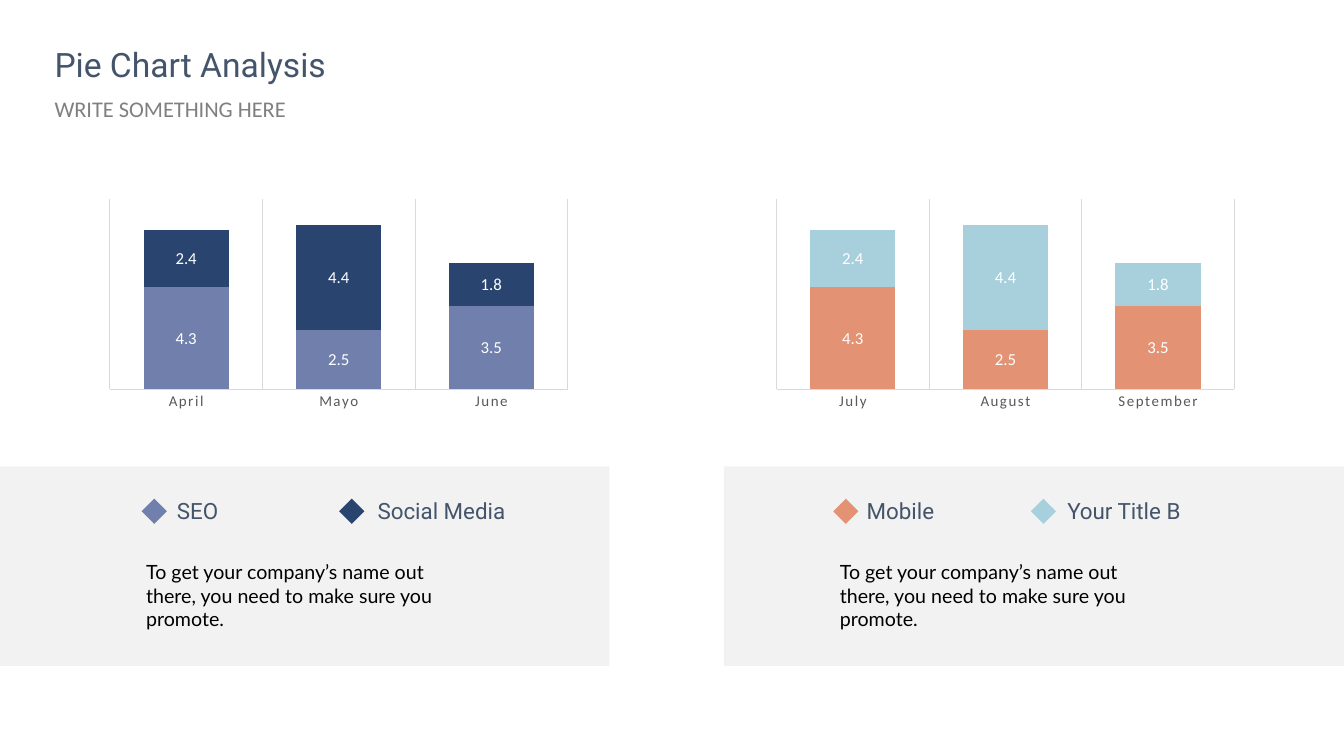
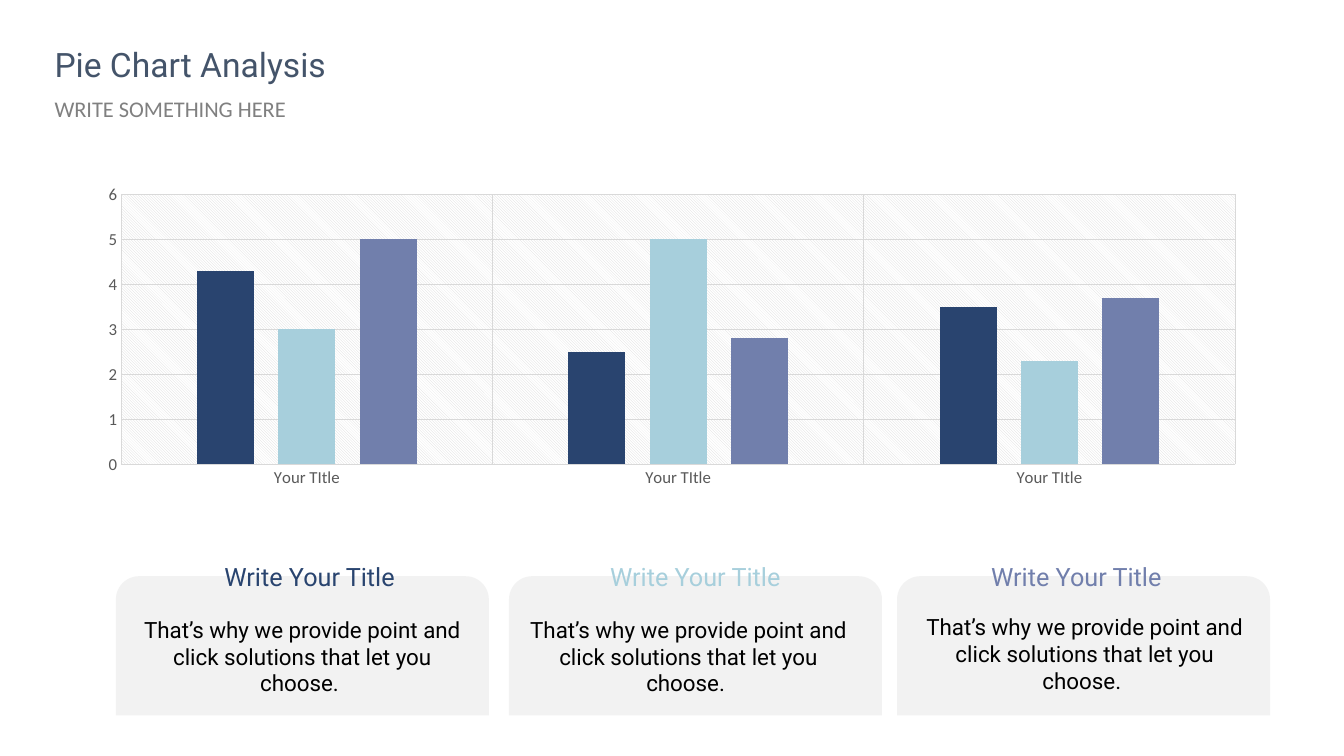
"""Build two chart analysis slides: stacked months and clustered groups."""
from lxml.etree import SubElement
from pptx import Presentation
from pptx.chart.data import CategoryChartData
from pptx.dml.color import RGBColor
from pptx.enum.chart import XL_CHART_TYPE, XL_LABEL_POSITION, XL_TICK_MARK
from pptx.enum.shapes import MSO_SHAPE
from pptx.enum.text import PP_ALIGN
from pptx.oxml.ns import qn
from pptx.util import Pt

HEX = {
    "heading": "44546A", "subtitle": "808080", "body": "000000",
    "panel": "F2F2F2", "grid": "D9D9D9", "axis": "595959", "white": "FFFFFF",
    "navy": "29446F", "violet": "717FAC", "orange": "E39274", "sky": "A7CFDC",
}
COLORS = {name: RGBColor.from_string(value) for name, value in HEX.items()}


def add_text(slide, box, words, color, font, size, align=PP_ALIGN.LEFT):
    frame = slide.shapes.add_textbox(*map(Pt, box)).text_frame
    frame.word_wrap = True
    paragraph = frame.paragraphs[0]
    paragraph.alignment = align
    run = paragraph.add_run()
    run.text = words
    for name, value in {"name": font, "size": Pt(size)}.items():
        setattr(run.font, name, value)
    run.font.color.rgb = COLORS[color]


def add_block(slide, kind, box, color):
    block = slide.shapes.add_shape(kind, *map(Pt, box))
    block.shadow.inherit = False
    block.fill.solid()
    block.fill.fore_color.rgb = COLORS[color]
    block.line.fill.background()


deck = Presentation()
deck.slide_width, deck.slide_height = Pt(960), Pt(540)
months, groups = [deck.slides.add_slide(deck.slide_layouts[6]) for _ in range(2)]

for slide in (months, groups):
    add_text(slide, (31.9, 28, 233, 36), "Pie Chart Analysis", "heading", "Roboto", 24)
    add_text(slide, (31.9, 64.4, 210, 26.6), "WRITE SOMETHING HERE", "subtitle", "Calibri", 16)

channels = [
    (0, 435.3, 97.3, 101.2, 119.3, [("SEO", "violet"), ("Social Media", "navy")]),
    (517, 443, 592.8, 595.2, 612, [("Mobile", "orange"), ("Your Title B", "sky")]),
]
for panel_left, panel_width, pitch_left, marker_left, label_left, legend in channels:
    add_block(months, MSO_SHAPE.RECTANGLE, (panel_left, 333.1, panel_width, 142.6), "panel")
    add_text(months, (pitch_left, 396.4, 240.5, 58.3),
             "To get your company’s name out there, you need to make sure you promote.",
             "body", "Lato", 14)
    for column, (channel, color) in enumerate(legend):
        add_block(months, MSO_SHAPE.DIAMOND, (marker_left + 141.1 * column, 356.2, 18, 18), color)
        add_text(months, (label_left + 143.3 * column, 351.7, 111, 26.6),
                 channel, "heading", "Roboto", 16)

cards = [
    (82.8, 91.4, 436.3, 142.6, "navy"),
    (363.6, 367.2, 436.3, 418.1, "sky"),
    (640.8, 650.2, 434.5, 690.3, "violet"),
]
for card_left, pitch_left, pitch_top, title_left, color in cards:
    add_block(groups, MSO_SHAPE.ROUND_2_SAME_RECTANGLE, (card_left, 411.6, 266.4, 99.4), "panel")
    add_text(groups, (pitch_left, pitch_top, 249.1, 65.5),
             "That’s why we provide point and click solutions that let you choose. ",
             "body", "Roboto", 16, PP_ALIGN.CENTER)
    add_text(groups, (title_left, 397.1, 157, 28.8), "Write Your Title",
             color, "Roboto", 18, PP_ALIGN.CENTER)

monthly = [(4.3, 2.5, 3.5), (2.4, 4.4, 1.8)]
grouped = [(4.3, 2.5, 3.5), (3, 5, 2.3), (5, 2.8, 3.7)]
charts = [
    (months, (71.7, 139.2, 340.6, 157.7), ["April", "Mayo", "June"], monthly, ["violet", "navy"]),
    (months, (547.9, 139.2, 340.6, 157.7), ["July", "August", "September"], monthly, ["orange", "sky"]),
    (groups, (60.9, 127.2, 838.1, 226.1), ["Your TItle"] * 3, grouped, ["navy", "sky", "violet"]),
]
for slide, box, categories, rows, colors in charts:
    stacked = slide is months
    data = CategoryChartData()
    data.categories = categories
    for number, row in enumerate(rows, 1):
        data.add_series(f"Series {number}", row)
    kind = XL_CHART_TYPE.COLUMN_STACKED if stacked else XL_CHART_TYPE.COLUMN_CLUSTERED
    chart = slide.shapes.add_chart(kind, *map(Pt, box), data).chart
    chart.has_title = chart.has_legend = False
    chart.font.name, chart.font.size = "Calibri", Pt(10)

    plot = chart.plots[0]
    spacing = {"gap_width": 79 if stacked else 267, "overlap": 100 if stacked else -43,
               "vary_by_categories": False, "has_data_labels": stacked}
    for name, value in spacing.items():
        setattr(plot, name, value)
    for series, color in zip(plot.series, colors):
        series.format.fill.solid()
        series.format.fill.fore_color.rgb = COLORS[color]

    for axis in (chart.category_axis, chart.value_axis):
        axis.major_tick_mark = axis.minor_tick_mark = XL_TICK_MARK.NONE
        axis.has_major_gridlines = True
        for line in (axis.format.line, axis.major_gridlines.format.line):
            line.color.rgb, line.width = COLORS["grid"], Pt(0.75)
        font = axis.tick_labels.font
        for name, value in {"name": "Calibri", "size": Pt(10.64 if stacked else 11.97)}.items():
            setattr(font, name, value)
        font.color.rgb = COLORS["axis"]

    scale = {"minimum_scale": 0, "maximum_scale": 8 if stacked else 6, "major_unit": 1,
             "visible": not stacked, "has_major_gridlines": not stacked}
    for name, value in scale.items():
        setattr(chart.value_axis, name, value)
    chart.value_axis.format.line.fill.background()

    plot_area = next(chart.element.iter(qn("c:plotArea")))
    if stacked:
        labels = plot.data_labels
        labels.show_value, labels.position = True, XL_LABEL_POSITION.CENTER
        labels.font.name, labels.font.size = "Calibri", Pt(11.97)
        labels.font.color.rgb = COLORS["white"]
        month_axis = plot_area.find(qn("c:catAx"))
        next(month_axis.iter(qn("a:defRPr"))).set("spc", "120")
    else:
        hatch = SubElement(SubElement(plot_area, qn("c:spPr")), qn("a:pattFill"), prst="ltDnDiag")
        for ground, color in (("a:fgClr", "grid"), ("a:bgClr", "white")):
            SubElement(SubElement(hatch, qn(ground)), qn("a:srgbClr"), val=HEX[color])

deck.save("out.pptx")
